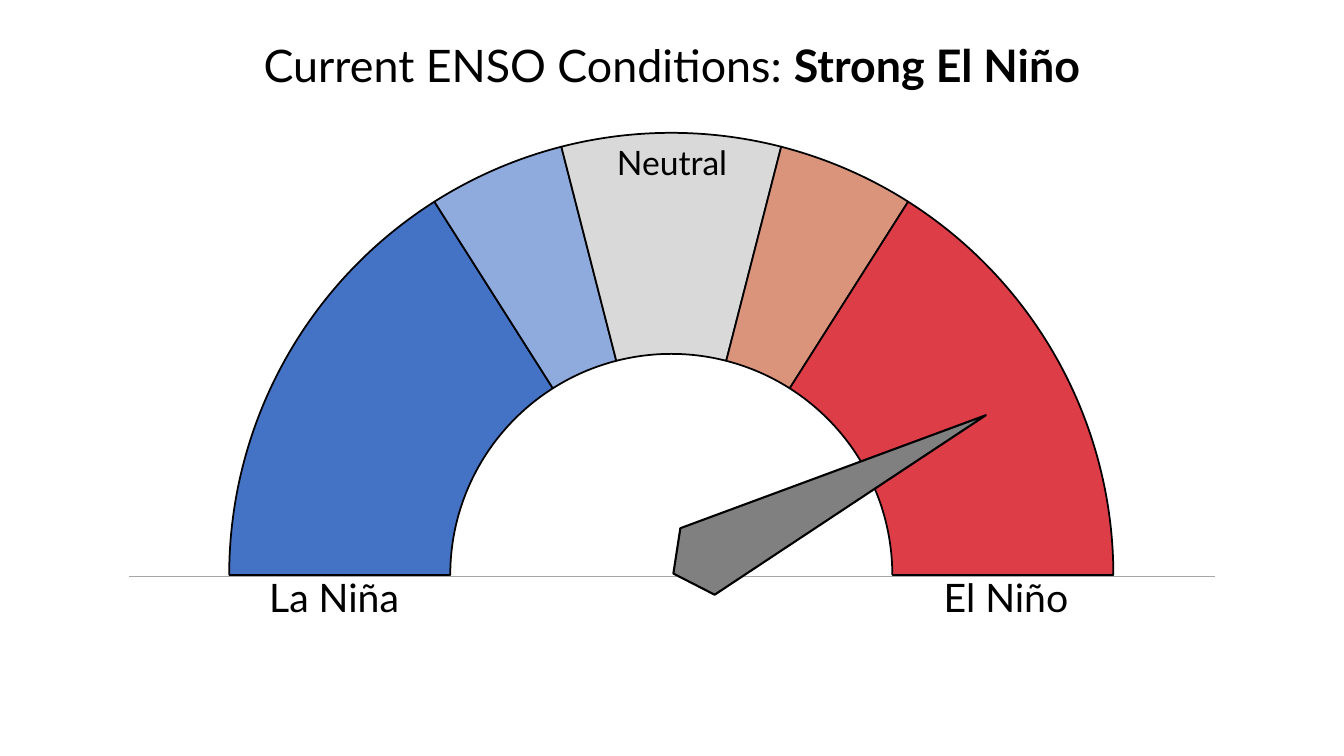
import pptx
import pptx.chart.data
import pptx.enum.chart
import pptx.enum.shapes
import pptx.enum.text
import pptx.oxml
import pptx.oxml.ns
import pptx.util

Pt = pptx.util.Pt
FONT = "Lato"
COLORS = {
    "black": "000000",
    "strong_la_nina": "4472C4",
    "weak_la_nina": "8FAADC",
    "neutral": "D9D9D9",
    "weak_el_nino": "DA947B",
    "strong_el_nino": "DD3D46",
    "needle": "808080",
    "baseline": "A6A6A6",
}
GAUGE_BANDS = [
    ("strong_la_nina", 16),
    ("weak_la_nina", 5),
    ("neutral", 8),
    ("weak_el_nino", 5),
    ("strong_el_nino", 16),
]
PLOT_AREA = {"x": 0.143, "y": 0.034, "w": 0.713, "h": 0.966}
NEEDLE_POINTS = [(704.2, 296.6), (510.5, 424.8), (481, 409.7), (486, 377.3)]


def rgb(name):
    """Return the named colour."""
    return pptx.dml.color.RGBColor.from_string(COLORS[name])


def paint(target, fill, width):
    """Give a shape or chart point a solid fill and a black outline."""
    target.fill.solid()
    target.fill.fore_color.rgb = rgb(fill)
    target.line.color.rgb = rgb("black")
    target.line.width = Pt(width)


def fill_text(shape, runs, size, wrap=True):
    """Write one centred paragraph of (text, bold) runs into a shape."""
    frame = shape.text_frame
    frame.word_wrap = wrap
    frame.auto_size = pptx.enum.text.MSO_AUTO_SIZE.SHAPE_TO_FIT_TEXT
    frame.vertical_anchor = pptx.enum.text.MSO_ANCHOR.MIDDLE
    paragraph = frame.paragraphs[0]
    paragraph.alignment = pptx.enum.text.PP_ALIGN.CENTER
    for text, bold in runs:
        run = paragraph.add_run()
        run.text = text
        run.font.name = FONT
        run.font.size = Pt(size)
        run.font.bold = bold
        run.font.color.rgb = rgb("black")


def add_title(slide, runs):
    """Place and fill the title placeholder."""
    title = slide.shapes.title
    title.left, title.top = Pt(168.5), Pt(23)
    title.width, title.height = Pt(623), Pt(46)
    fill_text(title, runs, 32)


def add_label(slide, text, left, top, width, height, size, wrap=False):
    """Add a centred gauge label."""
    box = slide.shapes.add_textbox(Pt(left), Pt(top), Pt(width), Pt(height))
    fill_text(box, [(text, False)], size, wrap)


def add_gauge(slide):
    """Add a doughnut chart whose lower half is invisible."""
    values = [value for _, value in GAUGE_BANDS]
    values.append(sum(values))
    data = pptx.chart.data.CategoryChartData()
    data.categories = [str(number) for number in range(1, len(values) + 1)]
    data.add_series("Series 1", values)
    chart = slide.shapes.add_chart(
        pptx.enum.chart.XL_CHART_TYPE.DOUGHNUT,
        Pt(0), Pt(72.7), Pt(960), Pt(653.8), data).chart
    chart.has_legend = False
    chart.has_title = False
    chart.font.name = "Calibri"
    chart.font.size = Pt(10)
    chart.font.color.rgb = rgb("black")
    plot = chart.plots[0]
    plot.has_data_labels = False
    points = plot.series[0].points
    for index, (color, _) in enumerate(GAUGE_BANDS):
        paint(points[index].format, color, 1.25)
    hidden_half = points[len(GAUGE_BANDS)].format
    hidden_half.fill.background()
    hidden_half.line.fill.background()
    set_gauge_geometry(chart)


def set_gauge_geometry(chart):
    """Start the ring at the left and fix its plot area."""
    qn = pptx.oxml.ns.qn
    plot_area = chart._chartSpace.find(".//" + qn("c:plotArea"))
    plot_area.find(".//" + qn("c:firstSliceAng")).set("val", "270")
    plot_area.find(".//" + qn("c:holeSize")).set("val", "50")
    for layout in plot_area.findall(qn("c:layout")):
        plot_area.remove(layout)
    modes = '<c:layoutTarget val="inner"/><c:xMode val="edge"/><c:yMode val="edge"/>'
    sizes = "".join(f'<c:{key} val="{value}"/>' for key, value in PLOT_AREA.items())
    plot_area.insert(0, pptx.oxml.parse_xml(
        f'<c:layout {pptx.oxml.ns.nsdecls("c")}><c:manualLayout>'
        f"{modes}{sizes}</c:manualLayout></c:layout>"))


def add_baseline(slide, left, right, y):
    """Add the thin horizontal line under the gauge."""
    line = slide.shapes.add_connector(
        pptx.enum.shapes.MSO_CONNECTOR.STRAIGHT, Pt(left), Pt(y), Pt(right), Pt(y))
    line.line.color.rgb = rgb("baseline")
    line.line.width = Pt(0.5)
    line._element.spPr.append(pptx.oxml.parse_xml(
        f'<a:effectLst {pptx.oxml.ns.nsdecls("a")}/>'))


def add_needle(slide):
    """Add the gauge needle."""
    corners = [(Pt(x), Pt(y)) for x, y in NEEDLE_POINTS]
    builder = slide.shapes.build_freeform(*corners[0])
    builder.add_line_segments(corners[1:], close=True)
    needle = builder.convert_to_shape()
    needle.shadow.inherit = False
    paint(needle, "needle", 1.5)


def main():
    """Build and save the gauge slide."""
    presentation = pptx.Presentation()
    presentation.slide_width, presentation.slide_height = Pt(960), Pt(540)
    slide = presentation.slides.add_slide(presentation.slide_layouts[5])
    add_gauge(slide)
    add_baseline(slide, 92.2, 867.6, 411.4)
    add_label(slide, "La Niña", 185, 406, 107.3, 41, 28)
    add_label(slide, "El Niño", 666.7, 406, 103.7, 41, 28)
    add_label(slide, "Neutral", 414, 98, 132, 36, 24, wrap=True)
    add_title(slide, [("Current ENSO Conditions: ", False), ("Strong El Niño", True)])
    add_needle(slide)
    presentation.save("out.pptx")


main()
